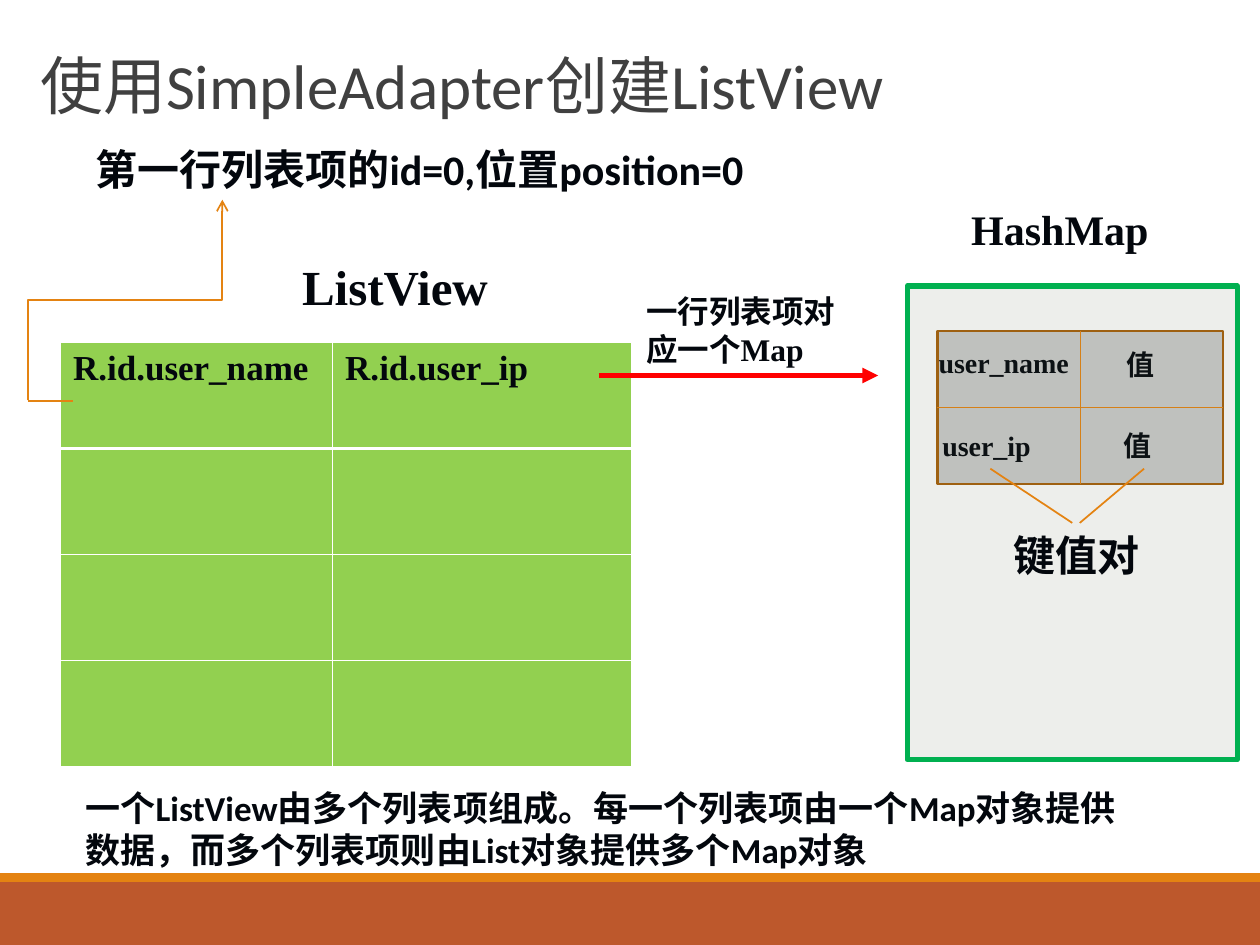
from lxml import etree
from pptx import Presentation
from pptx.dml.color import RGBColor
from pptx.enum.shapes import MSO_CONNECTOR, MSO_SHAPE
from pptx.enum.text import MSO_ANCHOR, PP_ALIGN
from pptx.oxml.ns import qn
from pptx.util import Inches, Pt

STRAIGHT, ELBOW = MSO_CONNECTOR.STRAIGHT, MSO_CONNECTOR.ELBOW
RECTANGLE = MSO_SHAPE.RECTANGLE
TOP, BOTTOM = MSO_ANCHOR.TOP, MSO_ANCHOR.BOTTOM
LEFT, CENTER = PP_ALIGN.LEFT, PP_ALIGN.CENTER

WHITE = RGBColor(0xFF, 0xFF, 0xFF)
INK = RGBColor(0x03, 0x07, 0x0D)
TITLE_GRAY = RGBColor(0x40, 0x40, 0x40)
RUST = RGBColor(0xBD, 0x58, 0x2C)
ORANGE = RGBColor(0xE4, 0x83, 0x12)
BROWN = RGBColor(0xA7, 0x5F, 0x0A)
LIME = RGBColor(0x92, 0xD0, 0x50)
GREEN = RGBColor(0x00, 0xB0, 0x50)
MOSS = RGBColor(0x5E, 0x6A, 0x4E)
SILVER = RGBColor(0xCC, 0xCC, 0xCC)
RED = RGBColor(0xFF, 0x00, 0x00)

SANS, SERIF, CHINESE = "Calibri", "Times New Roman", "Noto Sans CJK SC"


def style_paragraph(para, size, face, color=INK, bold=True):
    font = para.font
    font.size, font.name, font.bold = Pt(size), face, bold
    font.color.rgb = color
    properties = para._p.get_or_add_pPr().find(qn("a:defRPr"))
    etree.SubElement(properties, qn("a:ea"), typeface=CHINESE)


def add_text(page, text, left, top, width, height, size, face,
             color=INK, bold=True, align=LEFT, anchor=TOP, spacing=None):
    box = page.shapes.add_textbox(
        Inches(left), Inches(top), Inches(width), Inches(height))
    frame = box.text_frame
    frame.word_wrap = True
    frame.vertical_anchor = anchor
    para = frame.paragraphs[0]
    para.text = text
    para.alignment = align
    para.line_spacing = spacing
    style_paragraph(para, size, face, color, bold)


def add_rectangle(page, left, top, width, height, fill,
                  line=None, line_width=1, opacity=None):
    box = page.shapes.add_shape(
        RECTANGLE, Inches(left), Inches(top), Inches(width), Inches(height))
    box.shadow.inherit = False
    box.fill.solid()
    box.fill.fore_color.rgb = fill
    if opacity is not None:
        color = box._element.spPr.find(qn("a:solidFill"))[0]
        etree.SubElement(color, qn("a:alpha"), val=str(opacity * 1000))
    if line is None:
        box.line.fill.background()
    else:
        box.line.color.rgb = line
        box.line.width = Pt(line_width)
    return box


def add_line(page, start, end, color=ORANGE, width=1, head=None, kind=STRAIGHT):
    line = page.shapes.add_connector(
        kind, *(Inches(value) for value in (*start, *end)))
    line.line.color.rgb = color
    line.line.width = Pt(width)
    properties = line._element.spPr
    if head:
        etree.SubElement(properties.find(qn("a:ln")), qn("a:tailEnd"), type=head)
    etree.SubElement(properties, qn("a:effectLst"))
    return line


def set_borders(cell, widths):
    properties = cell._tc.get_or_add_tcPr()
    for index, (side, width) in enumerate(widths.items()):
        border = etree.Element(qn(f"a:ln{side}"), w=str(Pt(width)))
        fill = etree.SubElement(border, qn("a:solidFill"))
        etree.SubElement(fill, qn("a:srgbClr"), val=str(WHITE))
        properties.insert(index, border)


def add_list_table(page):
    headers, column_widths, row_count, row_height = (
        ("R.id.user_name", "R.id.user_ip"), (2.16, 2.37), 4, 0.84)
    table = page.shapes.add_table(
        row_count, len(headers), Inches(0.48), Inches(2.72),
        Inches(sum(column_widths)), Inches(row_count * row_height)).table
    for column, width in zip(table.columns, column_widths):
        column.width = Inches(width)
    for row_index, row in enumerate(table.rows):
        row.height = Inches(row_height)
        for cell in row.cells:
            cell.fill.solid()
            cell.fill.fore_color.rgb = LIME
            set_borders(cell, {"L": 0.45, "R": 0.45,
                               "T": 1.47 if row_index == 1 else 0.45,
                               "B": 1.47 if row_index == 0 else 0.45})
    for cell, header in zip(table.rows[0].cells, headers):
        cell.text = header
        style_paragraph(cell.text_frame.paragraphs[0], 20, SERIF)


def add_list_view(page):
    add_list_table(page)
    add_text(page, "ListView", 2.3, 1.99, 2, 0.57, 28, SERIF)

    # One list row maps to one Map
    add_line(page, (4.75, 2.98), (6.97, 2.98), RED, 3, "triangle")
    add_text(page, "一行列表项对应一个Map", 5.03, 2.27, 1.94, 0.7, 18, SERIF)

    # Elbow from the first row to its id note, turned to leave vertically
    elbow = add_line(page, (1.79, 3.15), (0.2, 1.61), head="arrow", kind=ELBOW)
    elbow._element.spPr.find(qn("a:xfrm")).set("rot", str(90 * 60000))
    add_line(page, (0.22, 3.18), (0.58, 3.18))
    add_text(page, "第一行列表项的id=0,位置position=0",
             0.66, 1.09, 5.53, 0.9, 24, SANS)


def add_hash_map(page):
    # Key and value grid
    grid = add_rectangle(page, 7.44, 2.63, 2.27, 1.21, SILVER, BROWN, 1.25)
    for begin_side, end_side in ((1, 3), (0, 2)):
        divider = add_line(page, (7.44, 2.63), (9.71, 3.84))
        divider.begin_connect(grid, begin_side)
        divider.end_connect(grid, end_side)
    for text, left, top, width in (("user_name", 7.35, 2.69, 1.49),
                                   ("user_ip", 7.38, 3.35, 1.49),
                                   ("值", 8.84, 2.71, 0.75),
                                   ("值", 8.82, 3.35, 0.75)):
        add_text(page, text, left, top, width, 0.37, 16, SERIF)

    # Translucent frame and its heading
    add_rectangle(page, 7.2, 2.27, 2.62, 3.76, MOSS, GREEN, 3, opacity=11)
    add_text(page, "HashMap", 7.61, 1.57, 1.93, 0.5, 24, SERIF)

    # Pair label
    add_line(page, (7.86, 3.72), (8.51, 4.15))
    add_line(page, (9.08, 3.72), (8.57, 4.15))
    add_text(page, "键值对", 7.7, 4.15, 1.68, 0.5, 24, CHINESE, align=CENTER)


def main():
    deck = Presentation()
    deck.slide_width, deck.slide_height = Inches(10), Inches(7.5)
    page = deck.slides.add_slide(deck.slide_layouts[6])

    # Footer bands and title
    add_rectangle(page, 0, 7, 10, 0.5, RUST)
    add_rectangle(page, 0, 6.93, 10, 0.07, ORANGE)
    add_text(page, "使用SimpleAdapter创建ListView", 0.22, 0.2, 9.47, 0.82, 36, SANS,
             TITLE_GRAY, bold=False, anchor=BOTTOM, spacing=0.85)

    add_list_view(page)
    add_hash_map(page)

    # Summary
    add_text(page, "一个ListView由多个列表项组成。每一个列表项由一个Map对象提供数据，"
             "而多个列表项则由List对象提供多个Map对象",
             0.58, 6.19, 8.51, 0.77, 20, SANS)
    deck.save("out.pptx")


if __name__ == "__main__":
    main()
